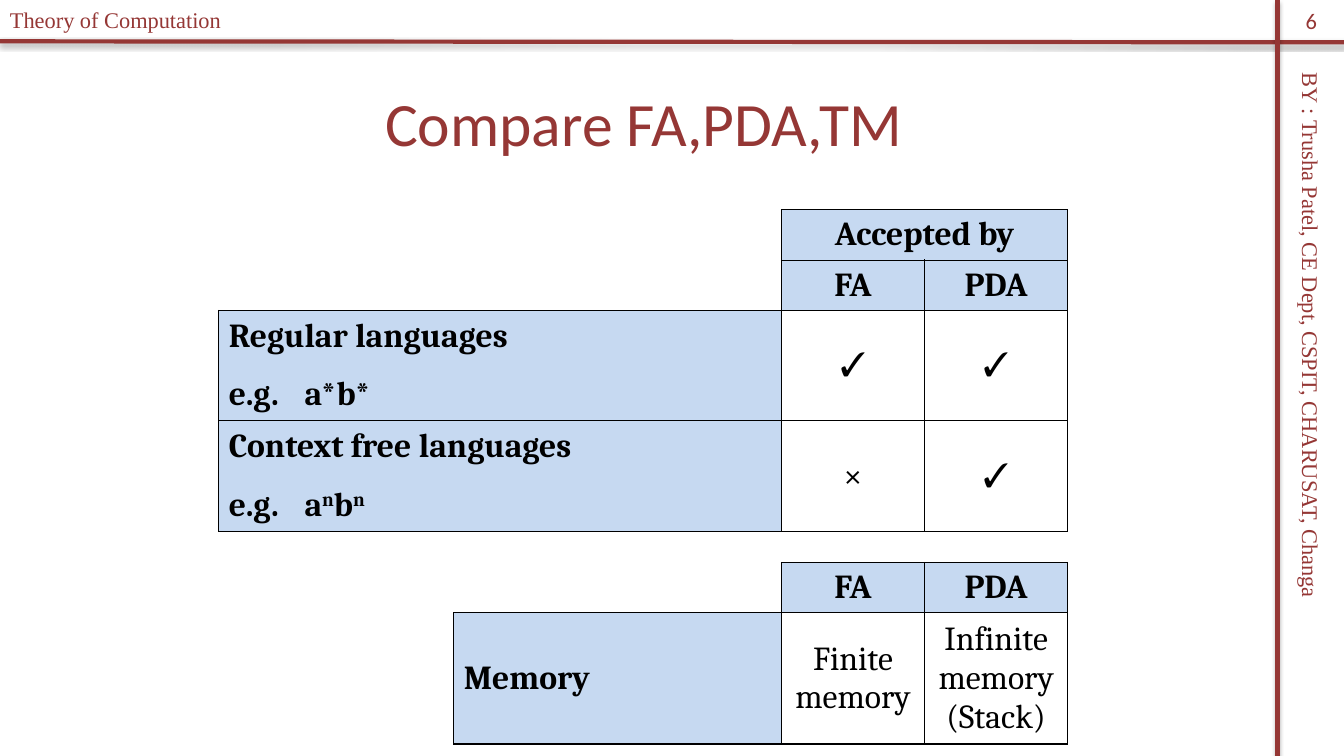
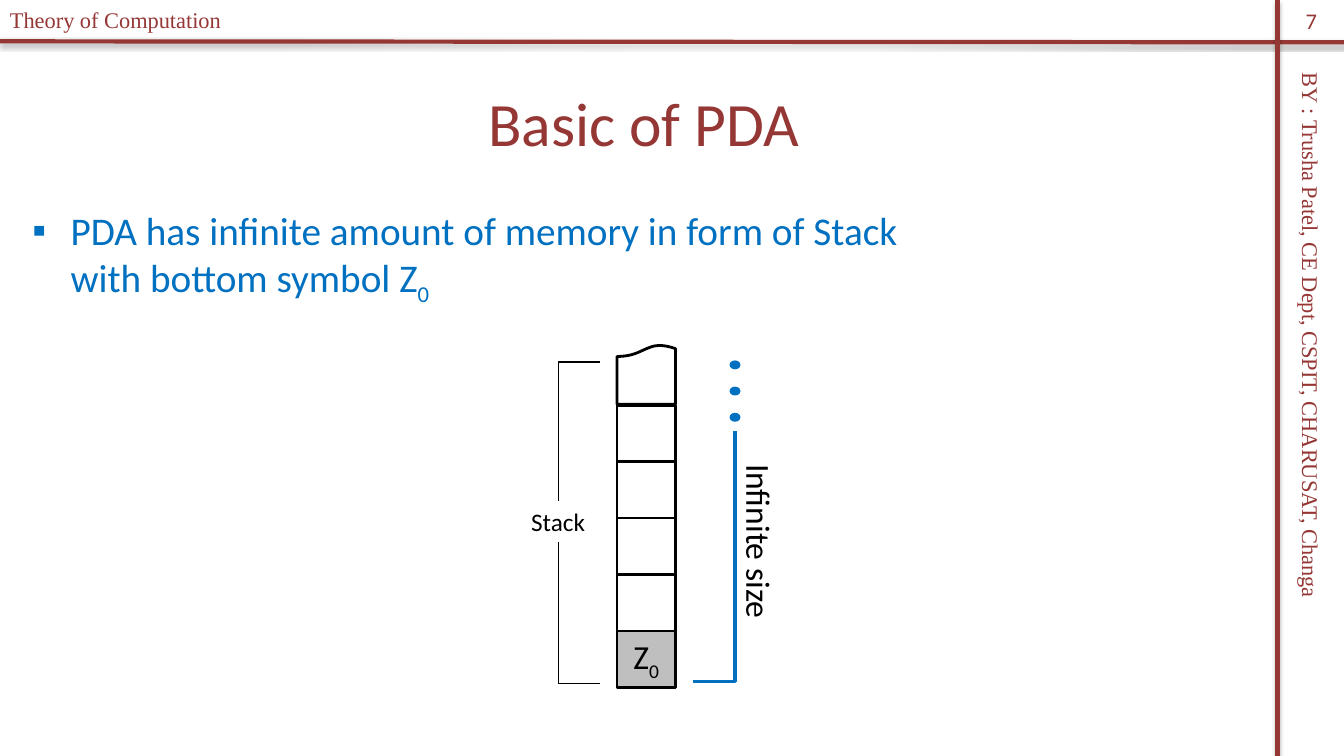
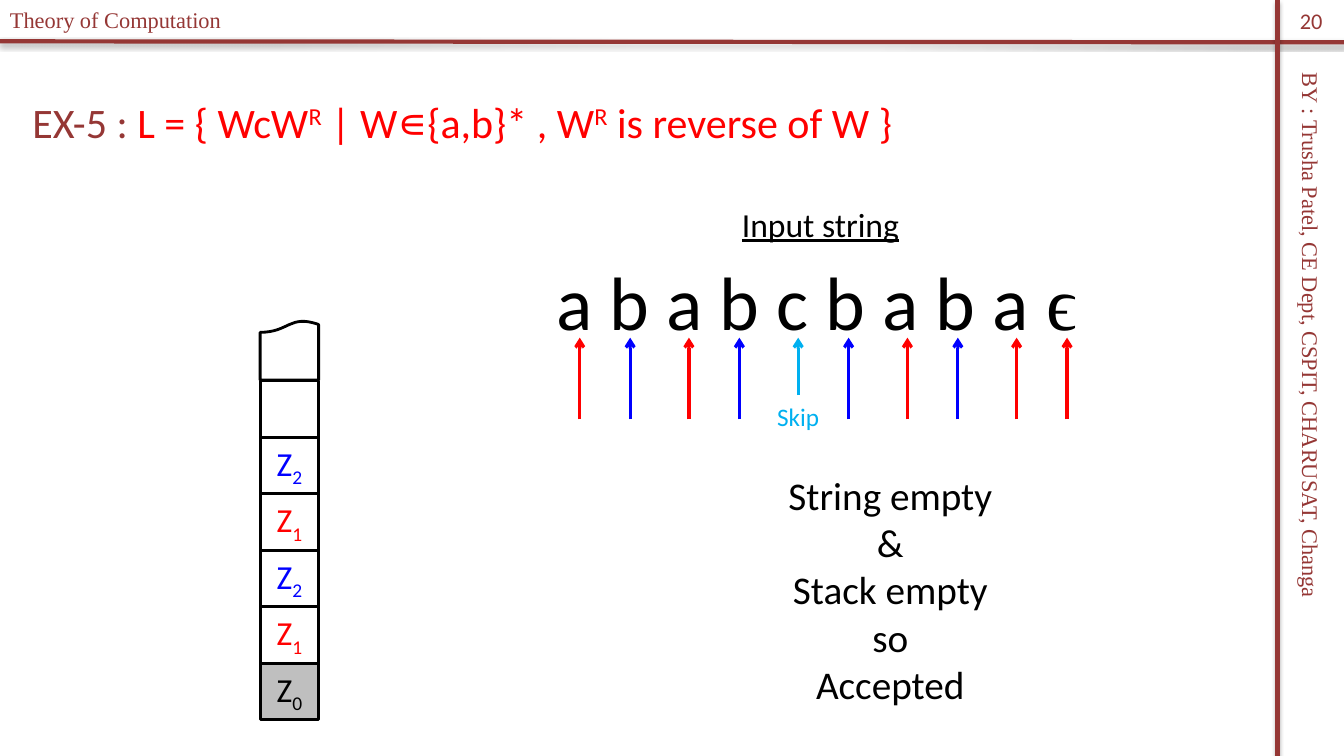
from lxml import etree
from pptx import Presentation
from pptx.dml.color import RGBColor
from pptx.enum.shapes import MSO_CONNECTOR, MSO_SHAPE
from pptx.enum.text import MSO_ANCHOR, MSO_AUTO_SIZE, PP_ALIGN
from pptx.oxml.ns import qn
from pptx.util import Inches, Pt

RECT = MSO_SHAPE.RECTANGLE
WAVE = MSO_SHAPE.FLOWCHART_DOCUMENT
DOT = MSO_SHAPE.FLOWCHART_CONNECTOR
LINE = MSO_CONNECTOR.STRAIGHT
ELBOW = MSO_CONNECTOR.ELBOW
LEFT = PP_ALIGN.LEFT
MID = PP_ALIGN.CENTER
CENTER = MSO_ANCHOR.MIDDLE
GROW = MSO_AUTO_SIZE.SHAPE_TO_FIT_TEXT
FIXED = MSO_AUTO_SIZE.NONE

MAROON, BLACK, GREY = "953735", "000000", "BFBFBF"
RED, BLUE, SKY, AZURE = "FF0000", "0000FF", "00B0F0", "0070C0"
PALE = "C6D9F1"
SANS, SERIF, TIMES = "Calibri", "Cambria", "Times New Roman"

COURSE = "Theory of Computation"
AUTHOR = "BY : Trusha Patel, CE Dept, CSPIT, CHARUSAT, Changa"
UP, DOWN = {"base": 30}, {"base": -25}

ACCEPT = {
    "at": (2.17, 2.08), "cols": (5.58, 1.42, 1.42),
    "rows": (0.48, 0.48, 1.06, 1.06), "heads": 2, "tab": 0.75,
    "cells": [
        [[], [["Accepted by"]], None],
        [[], [["FA"]], [["PDA"]]],
        [[["Regular languages"], ["e.g.\ta*b*"]], [["✓"]], [["✓"]]],
        [[["Context free languages"],
          ["e.g.\ta", ("n", UP), "b", ("n", UP)]], [["×"]], [["✓"]]],
    ],
}
MEMORY = {
    "at": (4.5, 5.58), "cols": (3.25, 1.42, 1.42),
    "rows": (0.48, 1.26), "heads": 1, "tab": 0,
    "cells": [
        [[], [["FA"]], [["PDA"]]],
        [[["Memory"]], [["Finite memory"]],
         [["Infinite memory"], ["(Stack)"]]],
    ],
}
POINT = ["PDA has infinite amount of memory in form of Stack", "\n",
         "with bottom symbol Z", ("0", DOWN)]
LANG = ["EX-5 : ", ("L = { WcW", {"color": RED}),
        ("R", {"color": RED, "base": 30}),
        (" | W∊{a,b}* , W", {"color": RED}),
        ("R", {"color": RED, "base": 30}),
        (" is reverse of W }", {"color": RED})]
INPUT = "ababcbaba"
END = "ϵ"
HUES = {"a": RED, "b": BLUE, "c": SKY, END: RED}
RESULT = [["String empty"], ["&"], ["Stack empty"], ["so"], ["Accepted"]]
BASE = ("0", BLACK)
EMPTY = [BASE, None, None, None, None]
FILLED = [BASE, ("1", RED), ("2", BLUE), ("1", RED), ("2", BLUE), None]


def rgb(code):
    return RGBColor.from_string(code)


def box(*sizes):
    return [Inches(size) for size in sizes]


def node(up, tag, **attrs):
    return etree.SubElement(up, qn(tag), {k: str(v) for k, v in attrs.items()})


def write(par, runs, size, color=BLACK, font=SANS, bold=False, under=False):
    for item in runs:
        if item == "\n":
            par.add_line_break()
            continue
        text, opts = (item, {}) if isinstance(item, str) else item
        run = par.add_run()
        run.text = text
        run.font.size = Pt(size)
        run.font.name = opts.get("font", font)
        run.font.bold = bold
        run.font.underline = under
        run.font.color.rgb = rgb(opts.get("color", color))
        if "base" in opts:
            run._r.get_or_add_rPr().set("baseline", str(opts["base"] * 1000))


def fill(frame, lines, size, align=LEFT, gap=0, **style):
    for i, runs in enumerate(lines):
        par = frame.add_paragraph() if i else frame.paragraphs[0]
        par.alignment = align
        if i and gap:
            par.space_before = Pt(gap)
        write(par, runs, size, **style)


def label(slide, at, lines, size, turn=0, **style):
    shape = slide.shapes.add_textbox(*box(*at))
    shape.rotation = turn
    shape.text_frame.word_wrap = False
    shape.text_frame.auto_size = GROW
    fill(shape.text_frame, lines, size, **style)
    return shape


def rule(slide, ends, color, width, kind=LINE, shade=False, tip=False):
    line = slide.shapes.add_connector(kind, *box(*ends))
    line.line.color.rgb = rgb(color)
    line.line.width = Pt(width)
    prop = line._element.spPr
    if tip:
        node(line.line._get_or_add_ln(), "a:tailEnd", type="arrow")
    if kind == ELBOW:
        geom = prop.find(qn("a:prstGeom"))
        adj = geom.find(qn("a:avLst"))
        if adj is None:
            adj = node(geom, "a:avLst")
        node(adj, "a:gd", name="adj1", fmla="val 100000")
    glow = node(prop, "a:effectLst")
    if shade:
        cast = node(glow, "a:outerShdw", blurRad=Pt(3.1), dist=Pt(1.8),
                    dir=5400000, rotWithShape=0)
        node(node(cast, "a:srgbClr", val=BLACK), "a:alpha", val=35000)


def block(slide, kind, at, color=None, edge=BLACK):
    shape = slide.shapes.add_shape(kind, *box(*at))
    shape.shadow.inherit = False
    if color:
        shape.fill.solid()
        shape.fill.fore_color.rgb = rgb(color)
    else:
        shape.fill.background()
    shape.line.color.rgb = rgb(edge)
    shape.line.width = Pt(2)
    return shape


def stack(slide, left, base, cells):
    wide, high = 0.58, 0.56
    for i, cell in enumerate(cells):
        shape = block(slide, RECT, (left, base - i * high, wide, high),
                      None if i else GREY)
        if cell:
            mark, color = cell
            frame = shape.text_frame
            frame.vertical_anchor = CENTER
            frame.word_wrap = False
            fill(frame, [["Z", (mark, DOWN)]], 24, MID, color=color)
    top = base - (len(cells) - 1) * high
    block(slide, WAVE, (left, top - 0.6, wide, 0.59)).rotation = 180


def border(cell, sides):
    prop = cell._tc.get_or_add_tcPr()
    for side in "LRTB":
        line = node(prop, "a:ln" + side, w=Pt(1))
        if side in sides:
            node(node(line, "a:solidFill"), "a:srgbClr", val=BLACK)
        else:
            node(line, "a:noFill")


def grid(slide, data):
    cells, cols, rows = data["cells"], data["cols"], data["rows"]
    heads = data["heads"]
    at = (*data["at"], sum(cols), sum(rows))
    table = slide.shapes.add_table(len(rows), len(cols), *box(*at)).table
    table.first_row = table.horz_banding = False
    for col, wide in zip(table.columns, cols):
        col.width = Inches(wide)
    for r, line in enumerate(cells):
        table.rows[r].height = Inches(rows[r])
        for c, lines in enumerate(line):
            cell = table.cell(r, c)
            if lines == []:
                border(cell, "RB" if r == heads - 1 else "R")
                cell.fill.background()
                continue
            border(cell, "LRTB")
            if lines is None:
                table.cell(r, c - 1).merge(cell)
                continue
            head = r < heads or c == 0
            cell.vertical_anchor = CENTER
            if head:
                cell.fill.solid()
                cell.fill.fore_color.rgb = rgb(PALE)
            else:
                cell.fill.background()
            fill(cell.text_frame, lines, 24, MID if c else LEFT,
                 0 if c else 14, font=SERIF, bold=head)
            if c == 0 and len(lines) > 1:
                prop = cell.text_frame.paragraphs[1]._p.get_or_add_pPr()
                node(node(prop, "a:tabLst"), "a:tab",
                     pos=Inches(data["tab"]), algn="l")


def start(deck, page, title, size=44, align=MID, layout=5):
    slide = deck.slides.add_slide(deck.slide_layouts[layout])
    rule(slide, (0, 0.41, 13.33, 0.42), MAROON, 3, shade=True)
    rule(slide, (12.67, 0, 12.67, 7.5), MAROON, 3, shade=True)
    style = {"color": MAROON, "font": TIMES}
    label(slide, (9.82, 3.62, 6.36, 0.37), [[AUTHOR]], 16, 90, **style)
    label(slide, (0, 0.01, 3.29, 0.37), [[COURSE]], 16, **style)
    head = slide.shapes.title
    head.left, head.top, head.width, head.height = box(0.22, 0.58, 12.33, 1.25)
    head.text_frame.auto_size = FIXED
    head.text_frame.vertical_anchor = CENTER
    fill(head.text_frame, [title], size, align, color=MAROON)
    num = label(slide, (12.67, 0, 0.67, 0.4), [[page]], 16,
                align=MID, color=MAROON)
    num.text_frame.auto_size = FIXED
    num.text_frame.word_wrap = True
    num.text_frame.vertical_anchor = CENTER
    return slide


def compare(deck):
    slide = start(deck, "6", ["Compare FA,PDA,TM"])
    for data in (ACCEPT, MEMORY):
        grid(slide, data)


def basic(deck):
    slide = start(deck, "7", ["Basic of PDA"], layout=1)
    body = slide.placeholders[1]
    body.left, body.top, body.width, body.height = box(0.22, 2, 12.33, 5.25)
    body.text_frame.auto_size = FIXED
    fill(body.text_frame, [POINT], 28, color=AZURE)
    par = body.text_frame.paragraphs[0]
    par.space_before = Pt(5.6)
    prop = par._p.get_or_add_pPr()
    prop.set("marL", str(Inches(0.38)))
    prop.set("indent", str(-Inches(0.38)))
    node(prop, "a:buFont", typeface="Arial")
    node(prop, "a:buChar", char="▪")
    for top, end in ((3.59, 4.97), (6.78, 5.38)):
        rule(slide, (5.95, top, 5.54, end), BLACK, 1, ELBOW)
    label(slide, (5.17, 4.97, 0.74, 0.4), [["Stack"]], 18)
    stack(slide, 6.12, 6.26, EMPTY)
    rule(slide, (6.87, 6.76, 7.29, 4.28), AZURE, 2.25, ELBOW)
    for i in range(3):
        block(slide, DOT, (7.25, 3.59 + i * 0.26, 0.08, 0.06), AZURE, AZURE)
    label(slide, (6.66, 5.13, 1.75, 0.5), [["Infinite size"]], 24, 90)


def example(deck):
    slide = start(deck, "20", LANG, 30, LEFT)
    stack(slide, 2.58, 6.58, FILLED)
    tape = [" ".join(INPUT) + " ", (END, {"font": TIMES})]
    label(slide, (5.42, 2.48, 5.46, 1.01), [tape], 54)
    label(slide, (7.26, 1.97, 1.77, 0.5), [["Input string"]], 24, under=True)
    for i, sign in enumerate(INPUT + END):
        x = 5.75 + i // 2 * 13 / 12 + i % 2 * 0.5
        foot = 3.92 if sign == "c" else 4.16
        rule(slide, (x, foot, x, 3.35), HUES[sign], 2.25, tip=True)
    label(slide, (7.61, 3.93, 0.62, 0.4), [["Skip"]], 18, color=SKY)
    label(slide, (7.71, 4.63, 2.24, 2.46), RESULT, 28, align=MID)


def main():
    deck = Presentation()
    deck.slide_width, deck.slide_height = box(13.33, 7.5)
    for make in (compare, basic, example):
        make(deck)
    deck.save("out.pptx")


if __name__ == "__main__":
    main()
